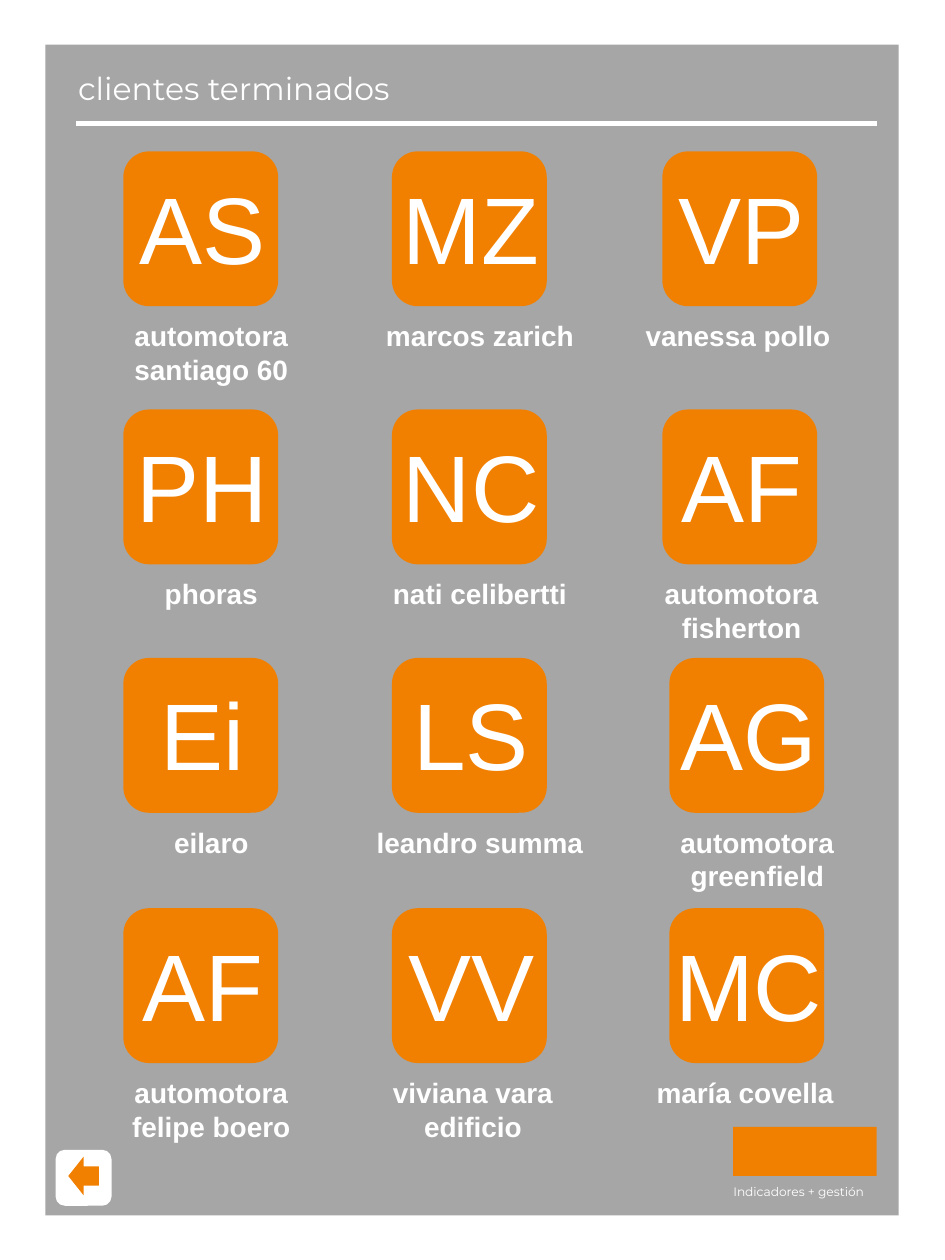
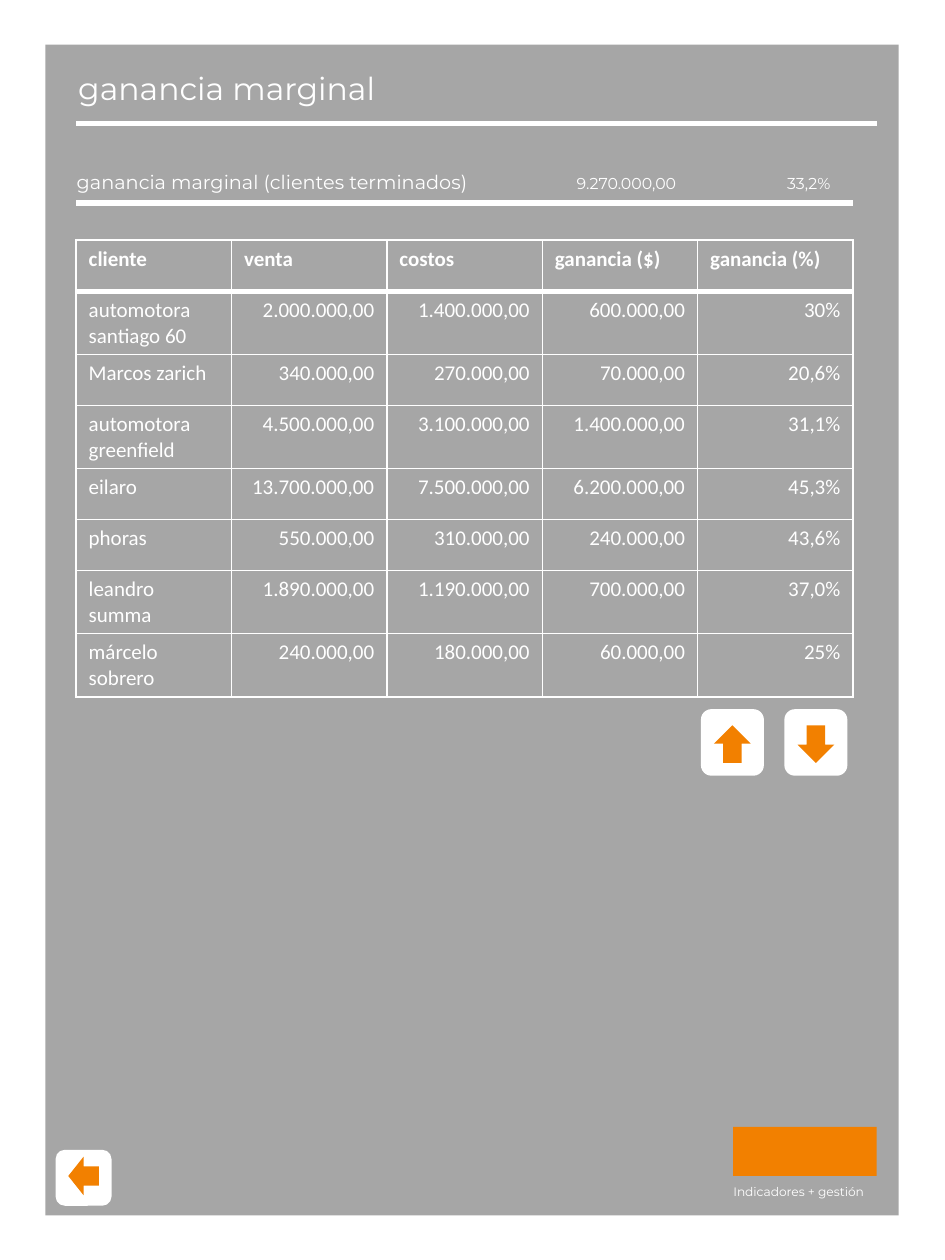
from dataclasses import dataclass

from lxml.etree import SubElement
from pptx import Presentation
from pptx.dml.color import RGBColor
from pptx.enum.shapes import MSO_CONNECTOR, MSO_SHAPE
from pptx.enum.text import MSO_ANCHOR, PP_ALIGN
from pptx.oxml.ns import qn
from pptx.util import Pt


@dataclass(frozen=True)
class Theme:
    panel: RGBColor = RGBColor(0xA6, 0xA6, 0xA6)
    accent: RGBColor = RGBColor(0xF2, 0x80, 0x00)
    light: RGBColor = RGBColor(0xFF, 0xFF, 0xFF)
    heading_font: str = "Montserrat"
    tile_font: str = "Arial"
    table_font: str = "Calibri"
    title_size: int = 18
    initials_size: int = 54
    caption_size: int = 16
    table_size: int = 12
    summary_size: int = 11
    figure_size: int = 9
    tagline_size: int = 7
    rule_width: int = 3
    border_width: int = 1


@dataclass(frozen=True)
class Client:
    initials: str
    name: str
    left: float
    caption_shift: float = 6


THEME = Theme()
TILE_SIZE = 88.5
ROW_TOPS = (86.5, 234, 376, 519)
CLIENT_ROWS = (
    (
        Client("AS", "automotora santiago 60", 70.5),
        Client("MZ", "marcos zarich", 224),
        Client("VP", "vanessa pollo", 378.5, -1),
    ),
    (
        Client("PH", "phoras", 70.5),
        Client("NC", "nati celibertti", 224),
        Client("AF", "automotora fisherton", 378.5, 1),
    ),
    (
        Client("Ei", "eilaro", 70.5),
        Client("LS", "leandro summa", 224),
        Client("AG", "automotora greenfield", 382.5),
    ),
    (
        Client("AF", "automotora felipe boero", 70.5),
        Client("VV", "viviana vara edificio", 224, 2),
        Client("MC", "maría covella", 382.5, -1),
    ),
)
MARGIN_ROWS = (
    ("cliente", "venta", "costos", "ganancia ($)", "ganancia (%)"),
    ("automotora santiago 60", "2.000.000,00", "1.400.000,00", "600.000,00", "30%"),
    ("Marcos zarich", "340.000,00", "270.000,00", "70.000,00", "20,6%"),
    ("automotora greenfield", "4.500.000,00", "3.100.000,00", "1.400.000,00", "31,1%"),
    ("eilaro", "13.700.000,00", "7.500.000,00", "6.200.000,00", "45,3%"),
    ("phoras", "550.000,00", "310.000,00", "240.000,00", "43,6%"),
    ("leandro summa", "1.890.000,00", "1.190.000,00", "700.000,00", "37,0%"),
    ("márcelo sobrero", "240.000,00", "180.000,00", "60.000,00", "25%"),
)


def write(frame, text, font, size, bold=False, align=PP_ALIGN.LEFT):
    para = frame.paragraphs[0]
    para.alignment = align
    span = para.add_run()
    span.text = text
    span.font.name = font
    span.font.size = Pt(size)
    span.font.bold = bold
    span.font.color.rgb = THEME.light


def add_text(page, left, top, width, height, text, font, size, **style):
    box = page.shapes.add_textbox(Pt(left), Pt(top), Pt(width), Pt(height))
    box.text_frame.word_wrap = True
    write(box.text_frame, text, font, size, **style)


def add_block(page, kind, left, top, width, height, color):
    block = page.shapes.add_shape(kind, Pt(left), Pt(top), Pt(width), Pt(height))
    block.shadow.inherit = False
    block.fill.solid()
    block.fill.fore_color.rgb = color
    block.line.fill.background()
    return block


def add_rule(page, left, right, height):
    rule = page.shapes.add_connector(
        MSO_CONNECTOR.STRAIGHT, Pt(left), Pt(height), Pt(right), Pt(height)
    )
    rule.line.color.rgb = THEME.light
    rule.line.width = Pt(THEME.rule_width)
    SubElement(rule.element.spPr, qn("a:effectLst"))


def add_arrow_button(page, center_x, center_y, button, arrow, arrow_drop, rotation=0):
    parts = (
        (MSO_SHAPE.ROUNDED_RECTANGLE, button, 0, THEME.light),
        (MSO_SHAPE.LEFT_ARROW, arrow, arrow_drop, THEME.accent),
    )
    for kind, (width, height), drop, color in parts:
        left = center_x - width / 2
        top = center_y - height / 2 + drop
        block = add_block(page, kind, left, top, width, height, color)
        block.rotation = rotation


def set_title(page, text):
    title = page.shapes.title
    title.element.getparent().append(title.element)
    title.left, title.top, title.width, title.height = Pt(37.5), Pt(36), Pt(422), Pt(29)
    title.text_frame.vertical_anchor = MSO_ANCHOR.TOP
    title.text_frame.word_wrap = True
    write(title.text_frame, text, THEME.heading_font, THEME.title_size)


def add_page(deck, title):
    page = deck.slides.add_slide(deck.slide_layouts[5])
    add_block(page, MSO_SHAPE.RECTANGLE, 26, 25.5, 487.5, 669, THEME.panel)
    add_block(page, MSO_SHAPE.RECTANGLE, 419, 644, 82, 28, THEME.accent)
    add_text(page, 412, 673, 108, 16, "Indicadores + gestión",
             THEME.heading_font, THEME.tagline_size)
    set_title(page, title)
    add_rule(page, 43.5, 501, 70.75)
    add_arrow_button(page, 47.75, 673, (32, 32), (17.5, 22), -1)
    return page


def add_client(page, client, top):
    center = client.left + TILE_SIZE / 2
    add_block(page, MSO_SHAPE.ROUNDED_RECTANGLE, client.left, top,
              TILE_SIZE, TILE_SIZE, THEME.accent)
    add_text(page, center - 60, top + 7, 122, 73, client.initials,
             THEME.tile_font, THEME.initials_size, align=PP_ALIGN.CENTER)
    add_text(page, center - 72 + client.caption_shift, top + 92, 144, 46, client.name,
             THEME.tile_font, THEME.caption_size, bold=True, align=PP_ALIGN.CENTER)


def add_borders(cell, widths):
    properties = cell._tc.get_or_add_tcPr()
    for side, width in widths.items():
        line = SubElement(properties, qn(f"a:ln{side}"), w=str(Pt(width)))
        fill = SubElement(line, qn("a:solidFill"))
        SubElement(fill, qn("a:srgbClr"), val=str(THEME.light))


def add_margin_table(page):
    row_count, column_count = len(MARGIN_ROWS), len(MARGIN_ROWS[0])
    table = page.shapes.add_table(
        row_count, column_count, Pt(43.5), Pt(137.25), Pt(444), Pt(29.2 * row_count)
    ).table
    table.horz_banding = False
    for column in table.columns:
        column.width = Pt(88.8)
    for row_index, values in enumerate(MARGIN_ROWS):
        table.rows[row_index].height = Pt(29.2)
        header = row_index == 0
        thin, thick = THEME.border_width, THEME.rule_width
        widths = {
            "L": thin,
            "R": thin,
            "T": thick if row_index == 1 else thin,
            "B": thick if header else thin,
        }
        for column_index, value in enumerate(values):
            cell = table.cell(row_index, column_index)
            add_borders(cell, widths)
            cell.fill.background()
            numeric = column_index > 0 and not header
            write(cell.text_frame, value, THEME.table_font, THEME.table_size,
                  bold=header, align=PP_ALIGN.RIGHT if numeric else PP_ALIGN.LEFT)


def build_clients_page(deck):
    page = add_page(deck, "clientes terminados")
    for top, clients in zip(ROW_TOPS, CLIENT_ROWS):
        for client in clients:
            add_client(page, client, top)


def build_margin_page(deck):
    page = add_page(deck, "ganancia marginal")
    add_text(page, 36.75, 93.5, 301, 44, "ganancia marginal (clientes terminados)",
             THEME.heading_font, THEME.summary_size)
    add_rule(page, 43.5, 487.5, 116)
    for left, width, figure in ((322.5, 80, "9.270.000,00"), (442.75, 46, "33,2%")):
        add_text(page, left, 95.75, width, 18, figure,
                 THEME.heading_font, THEME.figure_size)
    add_margin_table(page)
    for center_x, rotation in ((418.5, 90), (466.25, 270)):
        add_arrow_button(page, center_x, 424.25, (38, 36), (21.5, 21), 1, rotation)


def main():
    deck = Presentation()
    deck.slide_width, deck.slide_height = Pt(540), Pt(720)
    build_clients_page(deck)
    build_margin_page(deck)
    deck.save("out.pptx")


if __name__ == "__main__":
    main()
